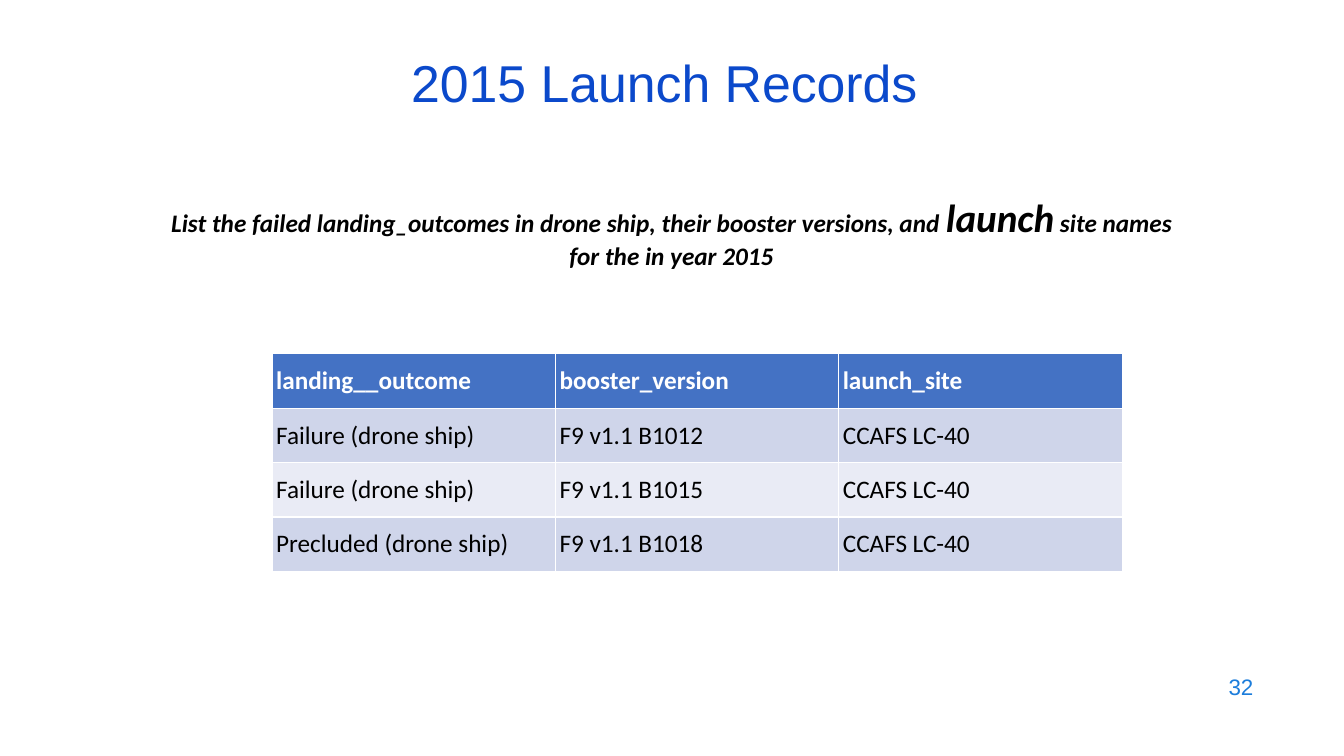
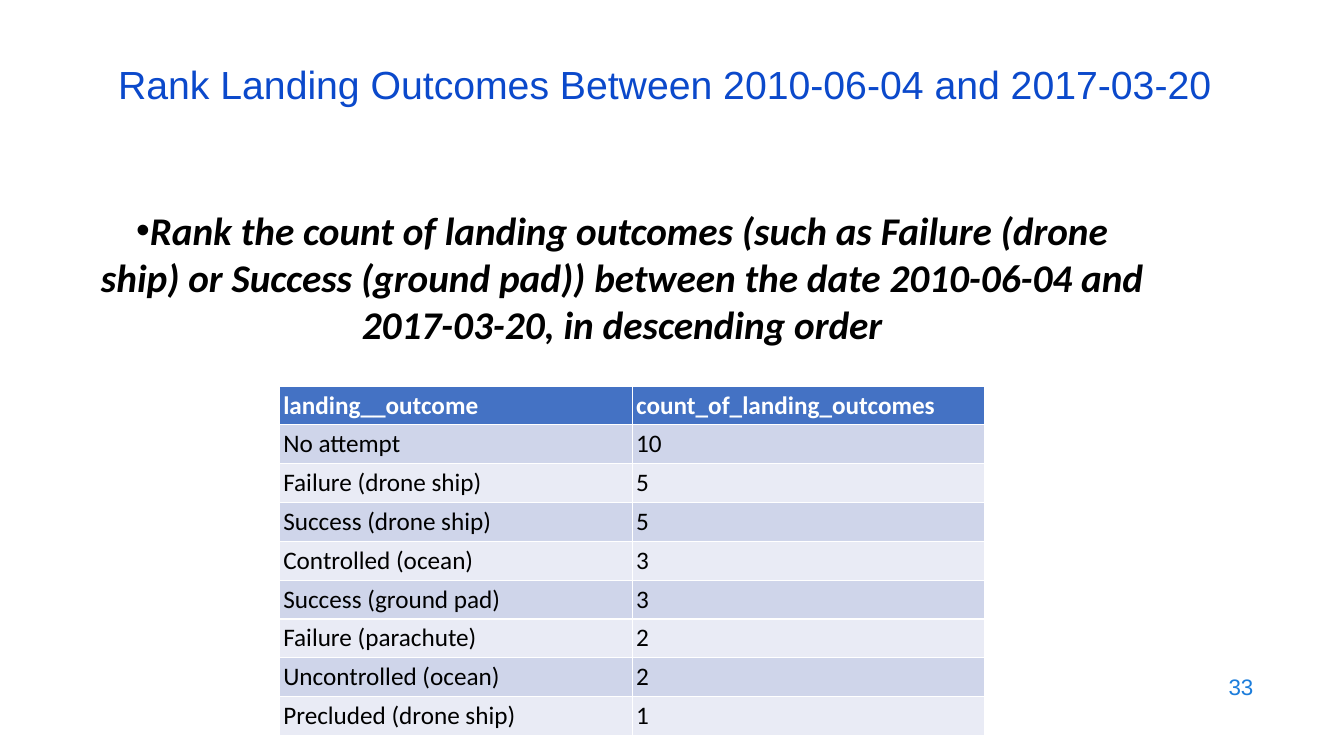
from lxml import etree
from pptx import Presentation
from pptx.dml.color import RGBColor
from pptx.enum.text import MSO_ANCHOR, MSO_AUTO_SIZE, PP_ALIGN
from pptx.oxml.ns import qn
from pptx.util import Inches, Pt

CENTER, RIGHT, LEFT = PP_ALIGN.CENTER, PP_ALIGN.RIGHT, PP_ALIGN.LEFT
TOP, MIDDLE = MSO_ANCHOR.TOP, MSO_ANCHOR.MIDDLE
NO_FIT = MSO_AUTO_SIZE.NONE
TITLE_ONLY, TITLE_AND_BODY = 5, 1

HEADING_FONT, BODY_FONT = "Arial", "Calibri"
TITLE_BLUE, NUMBER_BLUE = "0B49CB", "1C7DDB"
BLACK, WHITE = "000000", "FFFFFF"
HEADER_FILL = "4472C4"
BAND_FILLS = ("CFD5EA", "E9EBF5")


def color(value):
    return RGBColor.from_string(value)


def style_font(font, name, size, hex_color, bold=False, italic=False):
    font.name = name
    font.size = Pt(size)
    font.color.rgb = color(hex_color)
    font.bold = bold
    font.italic = italic


def add_bullet(para):
    """Give the paragraph a round bullet without a hanging indent."""
    properties = para._p.get_or_add_pPr()
    properties.set("marL", "0")
    properties.set("indent", "0")
    etree.SubElement(properties, qn("a:buFont"), typeface=HEADING_FONT)
    etree.SubElement(properties, qn("a:buChar"), char="•")


class Slides:
    """Holds the deck, its shared style and the current page."""

    def __init__(self):
        self.deck = Presentation()
        self.deck.slide_width = Inches(13.33)
        self.deck.slide_height = Inches(7.5)
        self.page = None

    def add_page(self, layout, title, title_size, number):
        self.page = self.deck.slides.add_slide(self.deck.slide_layouts[layout])
        para = self.place(self.page.shapes.title, 0.84, 0.59, 11.5, 0.6, MIDDLE)
        para.text = title
        para.alignment = CENTER
        para.line_spacing = 0.7
        style_font(para.font, HEADING_FONT, title_size, TITLE_BLUE)

        para = self.add_box(9.53, 6.59, 3, 0.44, MIDDLE)
        para.text = str(number)
        para.alignment = RIGHT
        style_font(para.font, HEADING_FONT, 16, NUMBER_BLUE)

    def place(self, shape, left, top, width, height, anchor):
        """Position a text shape and return its first paragraph."""
        shape.left, shape.top = Inches(left), Inches(top)
        shape.width, shape.height = Inches(width), Inches(height)
        frame = shape.text_frame
        frame.word_wrap = True
        frame.auto_size = NO_FIT
        frame.vertical_anchor = anchor
        para = frame.paragraphs[0]
        para.space_before = Pt(0)
        return para

    def add_box(self, left, top, width, height, anchor=TOP):
        box = self.page.shapes.add_textbox(0, 0, 0, 0)
        return self.place(box, left, top, width, height, anchor)

    def add_question(self, parts, left, top, width, height):
        """Add a centred task text from (text, size) parts."""
        para = self.add_box(left, top, width, height)
        para.alignment = CENTER
        for text, size in parts:
            span = para.add_run()
            span.text = text
            style_font(span.font, BODY_FONT, size, BLACK, bold=True, italic=True)

    def add_bulleted_question(self, text, left, top, width, height):
        body = self.page.placeholders[1]
        para = self.place(body, left, top, width, height, TOP)
        para.text = text
        para.alignment = CENTER
        add_bullet(para)
        style_font(para.font, BODY_FONT, 28, BLACK, bold=True, italic=True)

    def add_table(self, rows, left, top, column_width, row_height):
        row_count, column_count = len(rows), len(rows[0])
        table = self.page.shapes.add_table(
            row_count, column_count, Inches(left), Inches(top),
            Inches(column_width * column_count), Inches(row_height * row_count)).table
        for column in table.columns:
            column.width = Inches(column_width)
        for row_index, texts in enumerate(rows):
            table.rows[row_index].height = Inches(row_height)
            for column_index, text in enumerate(texts):
                self.fill_cell(table.cell(row_index, column_index), text, row_index)

    def fill_cell(self, cell, text, row_index):
        is_header = row_index == 0
        cell.fill.solid()
        cell.fill.fore_color.rgb = color(
            HEADER_FILL if is_header else BAND_FILLS[(row_index - 1) % 2])
        cell.vertical_anchor = MIDDLE
        cell.margin_left = cell.margin_right = Inches(0.04)
        cell.margin_top = cell.margin_bottom = Inches(0.04)
        para = cell.text_frame.paragraphs[0]
        para.text = text
        para.alignment = LEFT
        style_font(para.font, BODY_FONT, 18, WHITE if is_header else BLACK, bold=is_header)


def main():
    slides = Slides()

    slides.add_page(TITLE_ONLY, "2015 Launch Records", 37, 32)
    slides.add_question([
        ("List the failed landing_outcomes in drone ship, their booster versions, and ", 18),
        ("launch", 28),
        (" site names for the in year 2015", 18),
    ], 1.59, 1.87, 10.14, 0.88)
    slides.add_table([
        ("landing__outcome", "booster_version", "launch_site"),
        ("Failure (drone ship)", "F9 v1.1 B1012", "CCAFS LC-40"),
        ("Failure (drone ship)", "F9 v1.1 B1015", "CCAFS LC-40"),
        ("Precluded (drone ship)", "F9 v1.1 B1018", "CCAFS LC-40"),
    ], 2.7, 3.51, 2.81, 0.54)

    slides.add_page(
        TITLE_AND_BODY, "Rank Landing Outcomes Between 2010-06-04 and 2017-03-20", 28, 33)
    slides.add_bulleted_question(
        "Rank the count of landing outcomes (such as Failure (drone ship) or Success "
        "(ground pad)) between the date 2010-06-04 and 2017-03-20, in descending order",
        0.84, 2, 10.66, 4.76)
    slides.add_table([
        ("landing__outcome", "count_of_landing_outcomes"),
        ("No attempt", "10"),
        ("Failure (drone ship)", "5"),
        ("Success (drone ship)", "5"),
        ("Controlled (ocean)", "3"),
        ("Success (ground pad)", "3"),
        ("Failure (parachute)", "2"),
        ("Uncontrolled (ocean)", "2"),
        ("Precluded (drone ship)", "1"),
    ], 2.77, 3.83, 3.5, 0.38)

    slides.deck.save("out.pptx")


if __name__ == "__main__":
    main()
